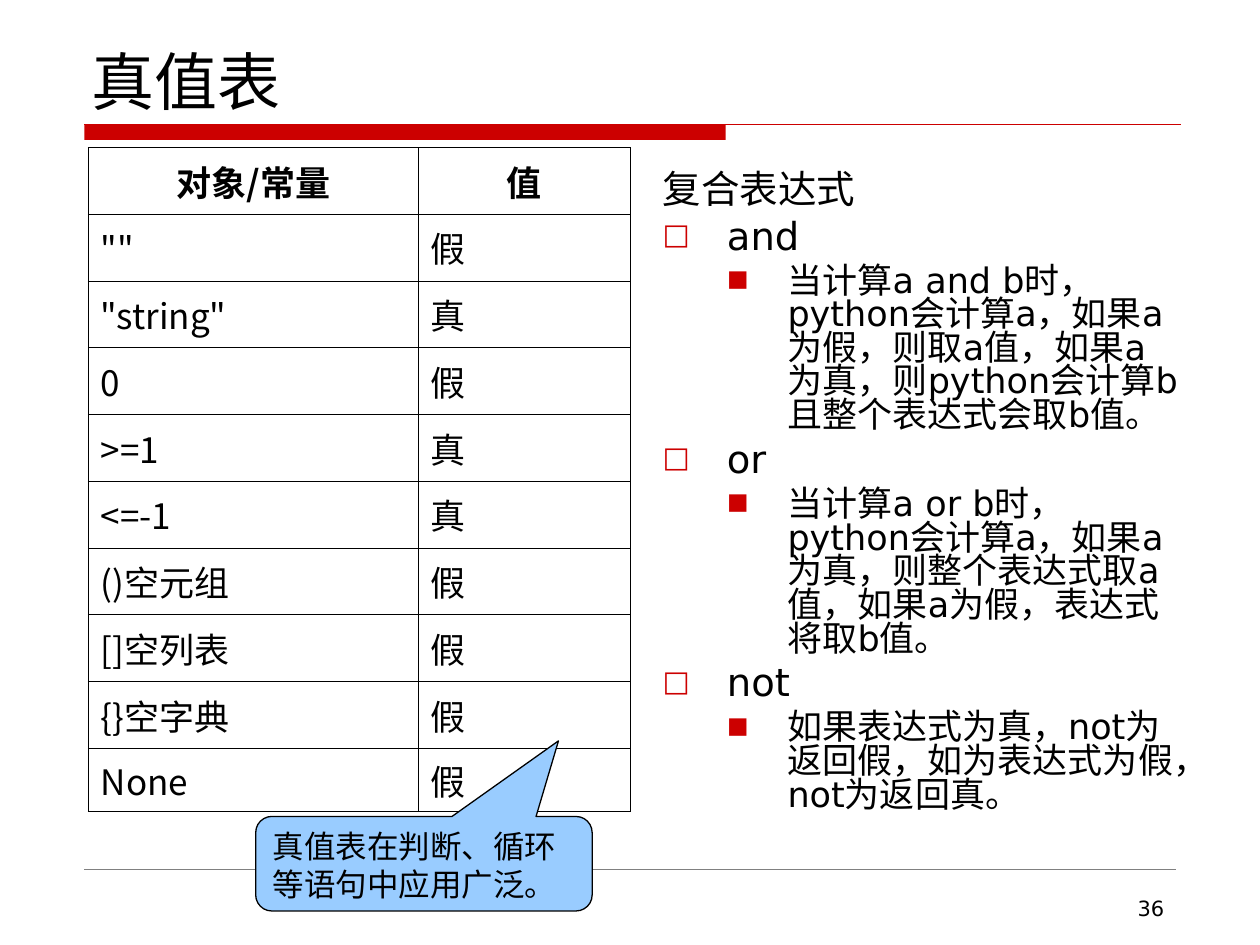
from lxml import etree
from pptx import Presentation, util as u
from pptx.dml.color import RGBColor
from pptx.enum import shapes, text
from pptx.oxml.ns import qn

BLACK = RGBColor(0x00, 0x00, 0x00)
RED = RGBColor(0xCC, 0x00, 0x00)
GRAY = RGBColor(0x80, 0x80, 0x80)
BLUE = RGBColor(0x99, 0xCC, 0xFF)
LATIN, CJK = "DejaVu Sans", "Noto Sans CJK SC"

# Content
TITLE = "真值表"
TRUTH = [
    ("对象/常量", "值"),
    ('""', "假"),
    ('"string"', "真"),
    ("0", "假"),
    (">=1", "真"),
    ("<=-1", "真"),
    ("()空元组", "假"),
    ("[]空列表", "假"),
    ("{}空字典", "假"),
    ("None", "假"),
]
HEADING = "复合表达式"
OPERATORS = [
    ("and", "当计算a and b时，python会计算a，如果a为假，则取a值，如果a为真，"
            "则python会计算b且整个表达式会取b值。"),
    ("or", "当计算a or b时，python会计算a，如果a为真，则整个表达式取a值，"
           "如果a为假，表达式将取b值。"),
    ("not", "如果表达式为真，not为返回假，如为表达式为假，not为返回真。"),
]
NOTE = "真值表在判断、循环等语句中应用广泛。"
PAGE = "36"

# Layout, in inches
LEFT, RULE_Y, FOOT_Y = 0.67, 0.99, 6.9
COLS = (2.62, 1.68)
ROW, LAST_ROW = 0.53, 0.44
# Per level: size, left margin, hanging indent, bullet, bullet size, space before
LEVELS = [(22, 0.51, -0.51, "□", 75, 5.5), (20, 0.99, -0.48, "■", 65, 5)]


def box(*lengths):
    return [u.Inches(v) for v in lengths]


def sub(parent, tag, **attrs):
    return etree.SubElement(parent, qn(tag), {k: str(v) for k, v in attrs.items()})


def write(p, content, size, font=LATIN, bold=False, align=text.PP_ALIGN.LEFT):
    p.alignment = align
    r = p.add_run()
    r.text = content
    r.font.size, r.font.bold, r.font.name = u.Pt(size), bold, font
    r.font.color.rgb = BLACK
    sub(r.font._element, "a:ea", typeface=CJK)


def frame(sp, anchor=text.MSO_ANCHOR.TOP):
    tf = sp.text_frame
    tf.word_wrap, tf.auto_size = True, text.MSO_AUTO_SIZE.NONE
    tf.vertical_anchor = anchor
    tf.margin_left = tf.margin_right = u.Inches(0.1)
    tf.margin_top = tf.margin_bottom = u.Inches(0.05)
    return tf


def place(sp, *lengths):
    sp.left, sp.top, sp.width, sp.height = box(*lengths)


def rule(s, x1, x2, y, color, width):
    ln = s.shapes.add_connector(shapes.MSO_CONNECTOR.STRAIGHT, *box(x1, y, x2, y))
    ln.line.color.rgb, ln.line.width = color, u.Pt(width)
    sub(ln._element.spPr, "a:effectLst")


def item(p, content, level=0, bullet=True, first=False):
    size, margin, indent, char, scale, before = LEVELS[level]
    p.level = level
    pPr = p._p.get_or_add_pPr()
    pPr.set("marL", str(u.Inches(margin)))
    pPr.set("indent", str(u.Inches(indent)))
    if bullet:
        sub(sub(pPr, "a:buClr"), "a:srgbClr", val=RED)
        sub(pPr, "a:buSzPct", val=scale * 1000)
        sub(pPr, "a:buFont", typeface=LATIN)
        sub(pPr, "a:buChar", char=char)
    else:
        sub(pPr, "a:buNone")
    p.line_spacing, p.space_before = 0.8, u.Pt(0 if first else before)
    write(p, content, size)


def fill_cell(cell, content, header):
    cell.vertical_anchor = text.MSO_ANCHOR.MIDDLE
    write(cell.text_frame.paragraphs[0], content, 20, CJK, header,
          text.PP_ALIGN.CENTER if header else text.PP_ALIGN.LEFT)
    tcPr = cell._tc.get_or_add_tcPr()
    for side in ("a:lnL", "a:lnR", "a:lnT", "a:lnB"):
        ln = sub(tcPr, side, w=u.Pt(0.45))
        sub(sub(ln, "a:solidFill"), "a:srgbClr", val=BLACK)
    cell.fill.background()


def main():
    prs = Presentation()
    prs.slide_width, prs.slide_height = box(10, 7.5)
    s = prs.slides.add_slide(prs.slide_layouts[1])

    # Red title bar and rules
    bar = s.shapes.add_shape(shapes.MSO_SHAPE.RECTANGLE, *box(LEFT, RULE_Y, 5.09, 0.12))
    bar.shadow.inherit = False
    bar.fill.solid()
    bar.fill.fore_color.rgb = RED
    bar.line.fill.background()
    rule(s, LEFT, 9.37, RULE_Y, RED, 0.75)
    rule(s, LEFT, 9.33, FOOT_Y, GRAY, 0.25)

    # Title
    place(s.shapes.title, 0.63, 0.33, 8.75, 0.66)
    write(frame(s.shapes.title, text.MSO_ANCHOR.BOTTOM).paragraphs[0], TITLE, 36)

    # Page number
    number = s.shapes.add_textbox(*box(7.17, 7.06, 2.17, 0.29))
    write(frame(number).paragraphs[0], PAGE, 12, align=text.PP_ALIGN.RIGHT)

    # Truth table
    heights = [ROW] * (len(TRUTH) - 1) + [LAST_ROW]
    table = s.shapes.add_table(len(TRUTH), len(COLS),
                               *box(0.7, 1.17, sum(COLS), sum(heights))).table
    table.first_row = table.horz_banding = False
    for col, width in zip(table.columns, COLS):
        col.width = u.Inches(width)
    for i, (row, height, values) in enumerate(zip(table.rows, heights, TRUTH)):
        row.height = u.Inches(height)
        for cell, value in zip(row.cells, values):
            fill_cell(cell, value, header=i == 0)

    # Compound expressions
    body = s.placeholders[1]
    place(body, 5.16, 1.33, 4.29, 5.42)
    tf = frame(body)
    item(tf.paragraphs[0], HEADING, bullet=False, first=True)
    for operator, meaning in OPERATORS:
        item(tf.add_paragraph(), operator)
        item(tf.add_paragraph(), meaning, level=1)

    # Callout pointing at the table
    note = s.shapes.add_shape(shapes.MSO_SHAPE.ROUNDED_RECTANGULAR_CALLOUT,
                              *box(2.03, 6.48, 2.67, 0.75))
    for i, value in enumerate((0.4, -1.3, 0.17)):
        note.adjustments[i] = value
    note.shadow.inherit = False
    note.fill.solid()
    note.fill.fore_color.rgb = BLUE
    note.line.color.rgb, note.line.width = BLACK, u.Pt(0.75)
    write(frame(note).paragraphs[0], NOTE, 18)

    prs.save("out.pptx")


if __name__ == "__main__":
    main()
